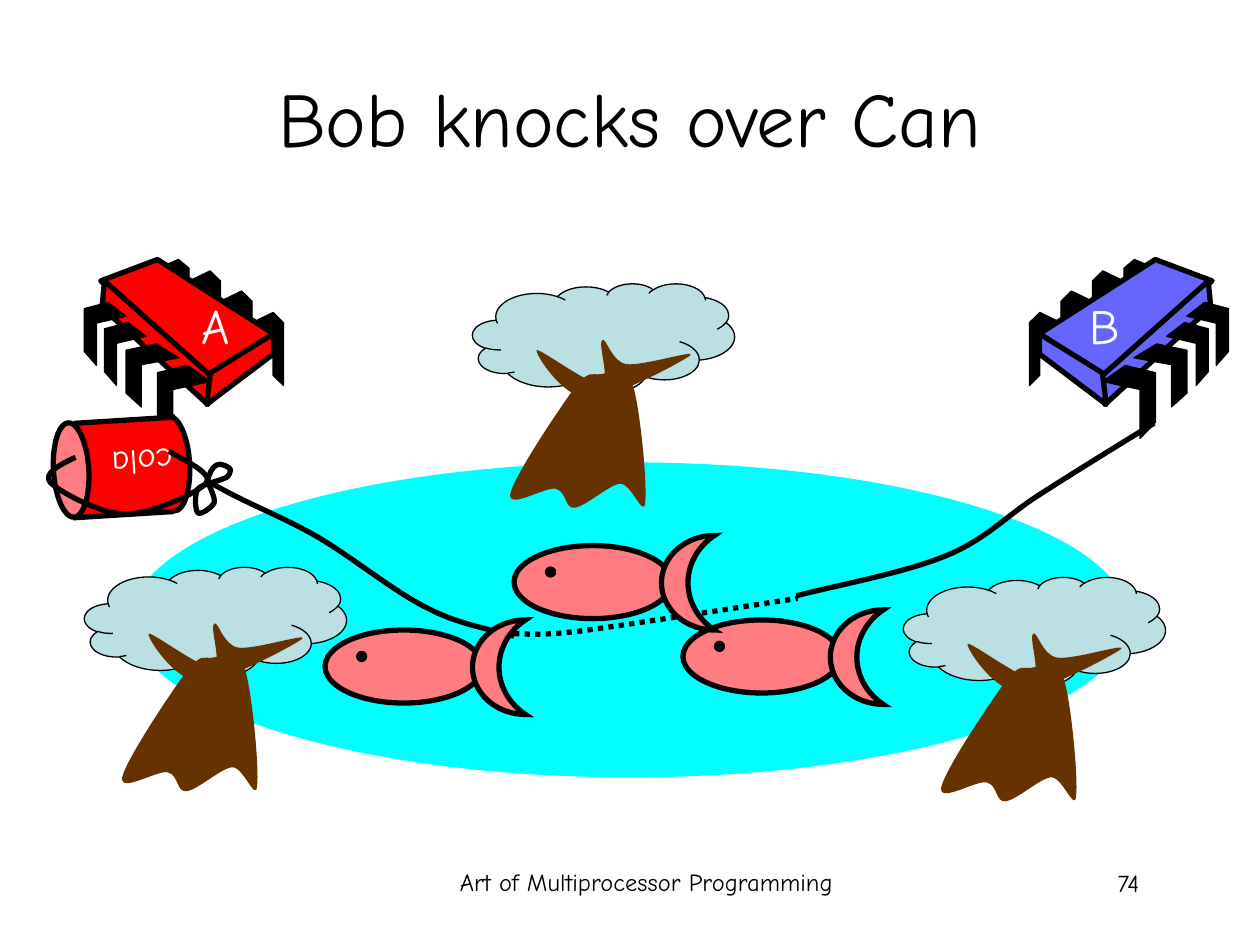
from lxml import etree
from pptx import Presentation
from pptx.dml.color import RGBColor
from pptx.enum.dml import MSO_LINE
from pptx.enum.shapes import MSO_CONNECTOR, MSO_SHAPE as Shape
from pptx.enum.text import MSO_ANCHOR as Anchor, MSO_AUTO_SIZE as AutoSize, PP_ALIGN as Align
from pptx.oxml.ns import qn
from pptx.util import Inches, Pt

BLACK, WHITE, RED, BLUE = "000000", "FFFFFF", "FF0000", "6666FF"
PINK, WATER, LEAVES, WOOD = "FF7C80", "00FFFF", "BBE0E3", "663300"
MIRROR_WIDTH = 10.42  # Bob's chip is Alice's, reflected: x -> MIRROR_WIDTH - x
CAN_TURN = 266.5

# Leg outlines as fractions of the leg's width and height
BACK_LEG = [(0, .14), (.67, 0), (1, .14), (1, 1), (.67, .86), (.67, .29), (0, .43)]
FRONT_LEG = [(.57, 0), (1, .22), (.29, .33), (.29, 1), (0, .78), (0, .1)]
BACK_LEGS = [(2, 2.48, .25, .58), (1.75, 2.31, .25, .58),
             (1.5, 2.15, .25, .58), (1.25, 2.06, .25, .5)]
FRONT_LEGS = [(1.25, 2.9, .42, .58), (1, 2.73, .42, .5),
              (.83, 2.56, .33, .5), (.67, 2.4, .33, .5)]
CHIP_FACES = [
    [(1.25, 2.06), (2.17, 2.65), (1.65, 2.99), (.8, 2.23)],
    [(.83, 2.23), (1.67, 2.98), (1.65, 3.21), (.81, 2.44)],
    [(2.17, 2.65), (2.17, 2.81), (1.64, 3.21), (1.67, 2.96)],
]

# Curves: a start point, then two control points and an end point per segment
TRUNK = [
    (.81, .83), (.93, .68), (.94, .73), (1.02, .72), (1.09, .71), (1.21, .63), (1.27, .8),
    (1.33, .97), (1.39, 1.61), (1.37, 1.74), (1.36, 1.87), (1.26, 1.58), (1.17, 1.59),
    (1.08, 1.6), (.9, 1.77), (.81, 1.78), (.73, 1.79), (.75, 1.65), (.66, 1.63),
    (.58, 1.61), (.28, 1.8), (.3, 1.67), (.33, 1.53), (.69, .99), (.81, .83)]
BRANCHES = [
    (.51, .53), (.49, .55), (.71, .9), (.91, .91), (1.12, .92), (1.68, .61), (1.73, .57),
    (1.78, .52), (1.34, .66), (1.22, .64), (1.1, .62), (1.06, .42), (1.03, .45),
    (.99, .47), (1.1, .78), (1.02, .8), (.93, .81), (.53, .51), (.51, .53)]
BOW = [
    (1.65, 3.82), (1.65, 3.77), (1.69, 3.7), (1.72, 3.69), (1.75, 3.67), (1.83, 3.71),
    (1.83, 3.73), (1.82, 3.77), (1.81, 3.79), (1.77, 3.8), (1.73, 3.82), (1.61, 3.84),
    (1.57, 3.88), (1.54, 3.93), (1.55, 4.05), (1.57, 4.07), (1.59, 4.09), (1.68, 4.03),
    (1.7, 3.99), (1.71, 3.95), (1.66, 3.86), (1.65, 3.82)]
CAN_LOOP = [
    (.6, 3.63), (.47, 3.69), (.34, 3.76), (.4, 3.83), (.47, 3.9), (.79, 4.08), (1, 4.08),
    (1.2, 4.08), (1.58, 3.91), (1.64, 3.83), (1.7, 3.75), (1.39, 3.62), (1.34, 3.58)]
CAN_STRING = [
    (1.67, 3.83), (1.94, 3.99), (2.22, 4.09), (2.5, 4.25), (2.78, 4.41), (3.12, 4.69),
    (3.38, 4.82), (3.64, 4.96), (3.93, 5), (4.08, 5.05)]
BOB_STRING = [
    (9.16, 3.36), (9.01, 3.45), (8.54, 3.74), (8.26, 3.92), (7.99, 4.09), (7.83, 4.28),
    (7.51, 4.41), (7.18, 4.55), (6.57, 4.66), (6.32, 4.73)]
HIDDEN_STRING = [
    (4.08, 5.03), (4.18, 5.03), (4.29, 5.05), (4.67, 5), (5.04, 4.95), (6.06, 4.79),
    (6.33, 4.75)]


def rgb(color):
    return RGBColor.from_string(color)


def paint(sp, fill=None, line=None):
    """Set the fill colour and the line width in points; None means neither."""
    sp.shadow.inherit = False
    if fill:
        sp.fill.solid()
        sp.fill.fore_color.rgb = rgb(fill)
    else:
        sp.fill.background()
    if line:
        sp.line.color.rgb = rgb(BLACK)
        sp.line.width = Pt(line)
    else:
        sp.line.fill.background()
    return sp


def add_preset(s, kind, box, fill, line=None, rotation=0, adj=()):
    sp = s.shapes.add_shape(kind, *map(Inches, box))
    sp.rotation = rotation
    for i, value in enumerate(adj):
        sp.adjustments[i] = value
    return paint(sp, fill, line)


def add_outline(s, points, fill=None, line=None, closed=True):
    start, *rest = [(Inches(x), Inches(y)) for x, y in points]
    builder = s.shapes.build_freeform(*start)
    builder.add_line_segments(rest, close=closed)
    return paint(builder.convert_to_shape(), fill, line)


def add_curve(s, points, fill=None, line=None, closed=True):
    """Draw an outline, then join each three of its segments into one cubic curve."""
    sp = add_outline(s, points, fill, line, closed)
    segments = list(sp._element.iter(qn("a:lnTo")))
    for i in range(0, len(segments), 3):
        cubic = etree.Element(qn("a:cubicBezTo"))
        segments[i].addprevious(cubic)
        for segment in segments[i:i + 3]:
            cubic.append(segment[0])
            segment.getparent().remove(segment)
    return sp


def add_line(s, x1, y1, x2, y2, width):
    ln = s.shapes.add_connector(MSO_CONNECTOR.STRAIGHT, *map(Inches, (x1, y1, x2, y2)))
    ln.line.color.rgb = rgb(BLACK)
    ln.line.width = Pt(width)
    etree.SubElement(ln._element.spPr, qn("a:effectLst"))


def add_text(s, text, box, size, color=BLACK, align=Align.RIGHT, anchor=Anchor.TOP,
             wrap=True, rotation=0):
    sp = s.shapes.add_textbox(*map(Inches, box))
    sp.rotation = rotation
    tf = sp.text_frame
    tf.word_wrap = wrap
    tf.auto_size = AutoSize.NONE if wrap else AutoSize.SHAPE_TO_FIT_TEXT
    tf.vertical_anchor = anchor
    p = tf.paragraphs[0]
    p.alignment = align
    r = p.add_run()
    r.text = text
    r.font.name = "Comic Neue"
    r.font.size = Pt(size)
    r.font.color.rgb = rgb(color)


def add_chip(s, color, mirrored=False):
    def place(points):
        return [(MIRROR_WIDTH - x, y) if mirrored else (x, y) for x, y in points]

    def add_legs(outline, legs):
        for x, y, w, h in legs:
            leg = [(x + fx * w, y + fy * h) for fx, fy in outline]
            add_outline(s, place(leg), BLACK, .75)

    add_legs(BACK_LEG, BACK_LEGS)
    for face in CHIP_FACES:
        add_outline(s, place(face), color, 3)
    add_legs(FRONT_LEG, FRONT_LEGS)


def add_tree(s, x, y):
    add_preset(s, Shape.CLOUD_CALLOUT, (x, y, 2.08, .87), LEAVES, .75, adj=(.018, .493))
    for part in (TRUNK, BRANCHES):
        add_curve(s, [(x + dx, y + dy) for dx, dy in part], WOOD)


def add_can(s):
    add_preset(s, Shape.OVAL, (.99, 3.54, .75, .28), RED, 3, CAN_TURN)
    add_preset(s, Shape.RECTANGLE, (.59, 3.31, .75, .8), RED, rotation=CAN_TURN)
    add_preset(s, Shape.OVAL, (.19, 3.59, .75, .28), PINK, 3, CAN_TURN)
    add_line(s, .58, 4.11, 1.38, 4.06, 3)
    add_line(s, .59, 3.36, 1.39, 3.31, 3)
    add_text(s, "cola", (.79, 3.47, .71, .43), 20, WHITE, wrap=False, rotation=CAN_TURN - 90)


def add_strings(s):
    add_curve(s, BOW, line=3)
    for points in (CAN_LOOP, CAN_STRING, BOB_STRING):
        add_curve(s, points, line=3, closed=False)
    hidden = add_curve(s, HIDDEN_STRING, line=3, closed=False)
    hidden.line.dash_style = MSO_LINE.ROUND_DOT


def add_fish(s, x, y):
    add_preset(s, Shape.OVAL, (x, y, 1.25, .58), PINK, 3)
    tail = add_preset(s, Shape.MOON, (x + 1.17, y - .08, .42, .75), PINK, 3, adj=(.5,))
    etree.SubElement(tail.line._get_or_add_ln(), qn("a:miter"), lim="800000")
    add_preset(s, Shape.OVAL, (x + .25, y + .17, .08, .08), BLACK, .75)


def main():
    prs = Presentation()
    prs.slide_width, prs.slide_height = Inches(10), Inches(7.5)
    s = prs.slides.add_slide(prs.slide_layouts[6])

    add_text(s, "Art of Multiprocessor Programming", (3.42, 6.83, 3.42, .52), 14,
             align=Align.CENTER)
    add_text(s, "74", (7.06, 6.84, 2.08, .5), 14)
    add_text(s, "Bob knocks over Can", (.5, .3, 9, 1.25), 44,
             align=Align.CENTER, anchor=Anchor.MIDDLE)
    add_chip(s, RED)
    add_chip(s, BLUE, mirrored=True)
    add_preset(s, Shape.OVAL, (1.04, 3.67, 7.92, 2.5), WATER)
    add_text(s, "A", (1.43, 2.3, .49, .57), 28, WHITE, wrap=False)
    add_text(s, "B", (8.54, 2.3, .45, .57), 28, WHITE, wrap=False)
    for x, y in ((3.75, 2.25), (7.17, 4.58), (.67, 4.5)):
        add_tree(s, x, y)
    add_can(s)
    add_strings(s)
    for x, y in ((5.42, 4.92), (4.08, 4.33), (2.58, 5)):
        add_fish(s, x, y)
    prs.save("out.pptx")


if __name__ == "__main__":
    main()
